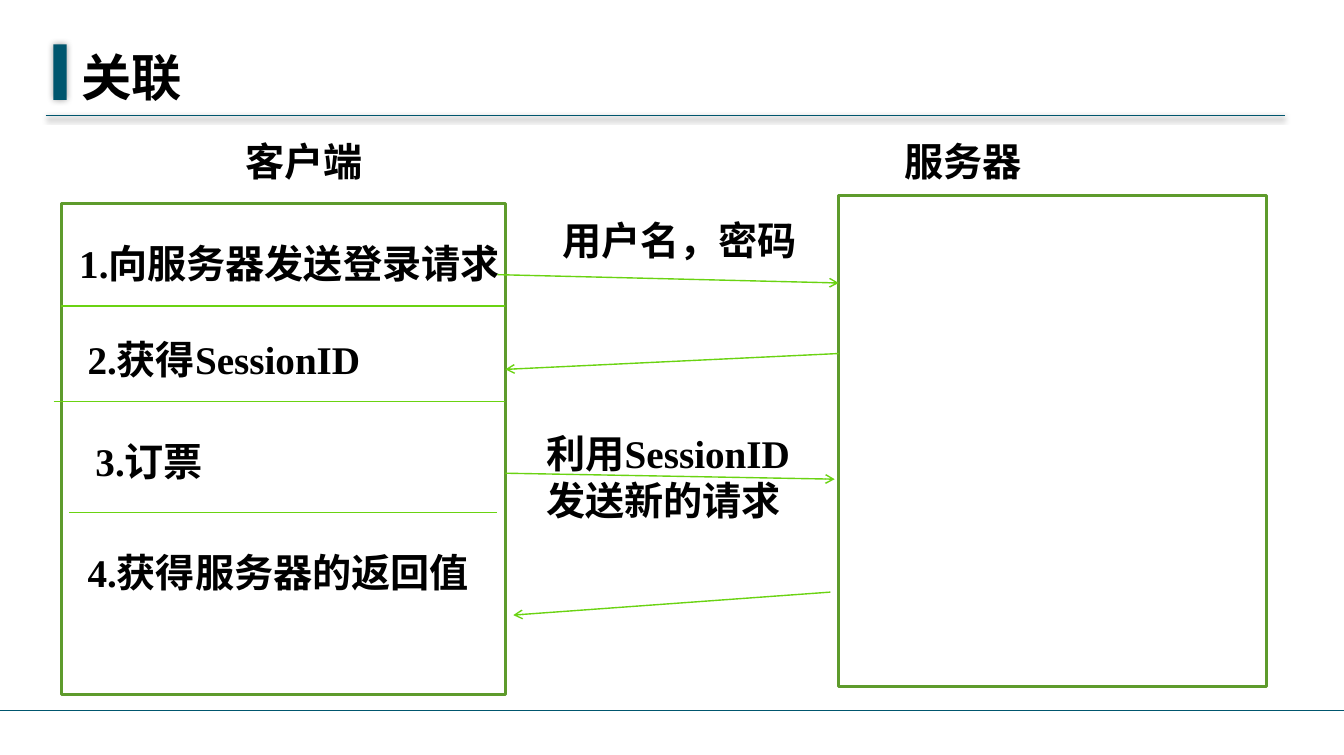
from collections import namedtuple
from dataclasses import dataclass

from lxml import etree
from pptx import Presentation
from pptx import util as u
from pptx.dml.color import RGBColor
from pptx.enum import shapes, text
from pptx.oxml import ns

Box = namedtuple("Box", "x y w h")


@dataclass(frozen=True)
class Theme:
    teal: str = "00566E"
    frame: str = "5E9B2C"
    line: str = "6AD312"
    ink: str = "000000"
    latin: str = "Times New Roman"
    asian: str = "Noto Sans CJK SC"
    title: int = 36
    body: int = 28
    thin: float = 1
    thick: float = 2


T = Theme()


def rgb(code):
    return RGBColor.from_string(code)


def node(parent, tag, **attrs):
    return etree.SubElement(parent, ns.qn(tag), {k: str(v) for k, v in attrs.items()})


def effect(shape, shade=None):
    """Set a soft shadow (alpha %, blur pt, distance pt, angle), or none."""
    lst = node(shape._element.spPr, "a:effectLst")
    if shade:
        alpha, blur, dist, angle = shade
        outer = node(lst, "a:outerShdw", blurRad=u.Pt(blur), dist=u.Pt(dist),
                     dir=angle * 60000, algn="ctr", rotWithShape=0)
        color = node(outer, "a:srgbClr", val=T.ink)
        node(color, "a:alpha", val=alpha * 1000)


def line(slide, start, end, color=T.line, arrow=False, shade=None):
    ends = [u.Cm(v) for v in (*start, *end)]
    link = slide.shapes.add_connector(shapes.MSO_CONNECTOR.STRAIGHT, *ends)
    link.line.color.rgb = rgb(color)
    link.line.width = u.Pt(T.thin)
    if arrow:
        node(link.line._get_or_add_ln(), "a:tailEnd", type="arrow")
    effect(link, shade)


def rect(slide, box, fill=None, edge=None, shade=None):
    shape = slide.shapes.add_shape(shapes.MSO_SHAPE.RECTANGLE, *map(u.Cm, box))
    if fill:
        shape.fill.solid()
        shape.fill.fore_color.rgb = rgb(fill)
    else:
        shape.fill.background()
    if edge:
        shape.line.color.rgb = rgb(edge)
        shape.line.width = u.Pt(T.thick)
    else:
        shape.line.fill.background()
    effect(shape, shade)


def label(slide, box, words, size=T.body, face=T.latin, **frame):
    area = slide.shapes.add_textbox(*map(u.Cm, box)).text_frame
    for key, val in {"word_wrap": True, **frame}.items():
        setattr(area, key, val)
    run = area.paragraphs[0].add_run()
    run.text = words
    for key, val in {"size": u.Pt(size), "bold": True, "name": face}.items():
        setattr(run.font, key, val)
    run.font.color.rgb = rgb(T.ink)
    node(run.font._element, "a:ea", typeface=T.asian)


def header(slide, box):
    # Rule, accent bar and title
    base = box.y + box.h
    line(slide, (box.x, base), (box.x + box.w, base), T.teal, shade=(42, 4, 1.6, 90))
    rect(slide, Box(box.x + 0.2, box.y, 0.33, 1.4), T.teal, shade=(40, 5, 0, 0))
    label(slide, Box(box.x + 0.61, box.y, 23, 1.6), "关联", T.title, T.asian,
          vertical_anchor=text.MSO_ANCHOR.MIDDLE,
          margin_left=u.Cm(0.3), margin_right=u.Cm(0.3),
          margin_top=u.Cm(0.15), margin_bottom=u.Cm(0.15))


def party(slide, box, name, dx, dy):
    # Frame with a caption above it
    rect(slide, box, edge=T.frame)
    label(slide, Box(box.x + dx, box.y + dy, 8.1, 1.5), name)


def steps(slide, box):
    # Dividers: height, left and right offset from the frame
    for y, left, right in ((2.59, 0, 0), (5, -0.2, 0), (7.8, 0.2, -0.2)):
        line(slide, (box.x + left, box.y + y), (box.x + box.w + right, box.y + y))
    # Numbered steps: text, offset and width
    rows = (("向服务器发送登录请求", 0.2, 0.79, 11.48),
            ("获得SessionID", 0.41, 3.2, 8.81),
            ("订票", 0.61, 5.79, 3.91),
            ("获得服务器的返回值", 0.41, 8.59, 15.49))
    for num, (words, x, y, w) in enumerate(rows, 1):
        label(slide, Box(box.x + x, box.y + y, w, 1.5), f"{num}.{words}")


def calls(slide, box):
    # Arrows between client and server
    for x1, y1, x2, y2 in ((-0.2, 2, 8.41, 2.21), (8.41, 3.99, 0, 4.39),
                           (0, 7.01, 8.31, 7.16), (8.2, 10.01, 0.2, 10.59)):
        line(slide, (box.x + x1, box.y + y1), (box.x + x2, box.y + y2), arrow=True)
    # What is sent
    for words, x, y, w, h in (("用户名，密码", 1.19, 0.4, 8.99, 1.5),
                              ("利用SessionID发送新的请求", 0.79, 5.79, 7.49, 2.74)):
        label(slide, Box(box.x + x, box.y + y, w, h), words)


def footer(slide, box):
    line(slide, (box.x, box.y), (box.x + box.w, box.y), T.teal)


def main():
    deck = Presentation()
    deck.slide_width, deck.slide_height = u.Cm(33.91), u.Cm(19.05)
    slide = deck.slides.add_slide(deck.slide_layouts[6])
    client = Box(1.55, 5.13, 11.2, 12.4)
    server = Box(21.16, 4.93, 10.8, 12.4)
    edge = client.x + client.w
    header(slide, Box(1.15, 1.12, 31.26, 1.8))
    party(slide, client, "客户端", 4.39, -1.8)
    party(slide, server, "服务器", 1.4, -1.6)
    steps(slide, client)
    calls(slide, Box(edge, server.y, server.x - edge, server.h))
    footer(slide, Box(0, 17.93, 33.91, 1.12))
    deck.save("out.pptx")


if __name__ == "__main__":
    main()
